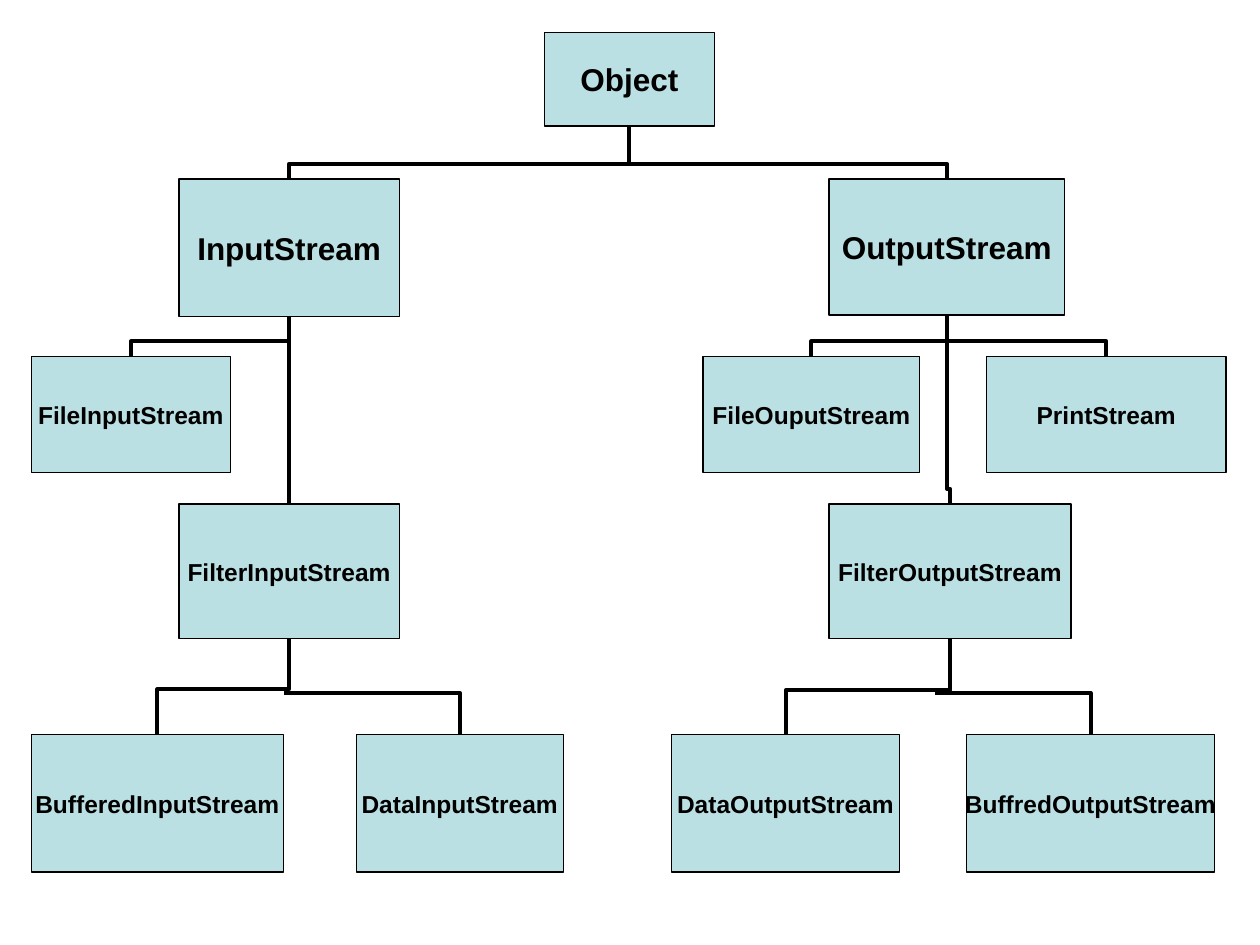
import pptx
import pptx.dml.color
import pptx.enum.shapes
import pptx.enum.text
import pptx.oxml
import pptx.oxml.ns
import pptx.util
from pptx.util import Inches

BLACK = pptx.dml.color.RGBColor(0x00, 0x00, 0x00)
PALE_TEAL = pptx.dml.color.RGBColor(0xBB, 0xE0, 0xE3)
CONNECTORS = pptx.enum.shapes.MSO_CONNECTOR

# Class name: left, top, width, height, text size
classes = {
    "Object": (4.32, 0.26, 1.35, 0.74, 18),
    "InputStream": (1.42, 1.42, 1.75, 1.09, 18),
    "OutputStream": (6.58, 1.42, 1.87, 1.08, 18),
    "FileInputStream": (0.25, 2.83, 1.58, 0.92, 14),
    "FilterInputStream": (1.42, 4, 1.75, 1.07, 14),
    "BufferedInputStream": (0.25, 5.83, 2, 1.09, 14),
    "DataInputStream": (2.83, 5.83, 1.64, 1.09, 14),
    "FileOuputStream": (5.58, 2.83, 1.72, 0.92, 14),
    "FilterOutputStream": (6.58, 4, 1.92, 1.07, 14),
    "PrintStream": (7.83, 2.83, 1.9, 0.92, 14),
    "BuffredOutputStream": (7.67, 5.83, 1.97, 1.09, 14),
    "DataOutputStream": (5.33, 5.83, 1.81, 1.09, 14),
}

# Subclass, superclass, rise from the subclass to the horizontal bar
links = [
    ("DataOutputStream", "FilterOutputStream", 0.35),
    ("PrintStream", "OutputStream", 0.12),
    ("FilterOutputStream", "OutputStream", 0.12),
    ("FileOuputStream", "OutputStream", 0.12),
    ("BufferedInputStream", "FilterInputStream", 0.36),
    ("FilterInputStream", "InputStream", 0.12),
    ("FileInputStream", "InputStream", 0.12),
    ("OutputStream", "Object", 0.12),
    ("InputStream", "Object", 0.12),
]

# Subclass joined to a bar by a single bend: x and y of the bar's end
single_bends = [
    ("BuffredOutputStream", 7.42, 5.5),
    ("DataInputStream", 2.25, 5.5),
]

deck = pptx.Presentation()
deck.slide_width, deck.slide_height = Inches(10), Inches(7.5)
page = deck.slides.add_slide(deck.slide_layouts[6])


def top_centre(name):
    left, top, width, height, size = classes[name]
    return left + width / 2, top


def add_link(x1, y1, x2, y2, rise=None):
    """Link a subclass to its superclass, leaving upwards; no rise means one bend."""
    if abs(x2 - x1) < 0.01:
        link = page.shapes.add_connector(
            CONNECTORS.STRAIGHT, Inches(x1), Inches(y1), Inches(x2), Inches(y2))
    else:
        # An elbow starts sideways, so lay it out turned by a quarter
        middle_x, middle_y = (x1 + x2) / 2, (y1 + y2) / 2
        side = 1 if x1 < x2 else -1
        half_width, half_height = side * (y1 - y2) / 2, abs(x2 - x1) / 2
        link = page.shapes.add_connector(
            CONNECTORS.ELBOW,
            Inches(middle_x + half_width), Inches(middle_y + half_height),
            Inches(middle_x - half_width), Inches(middle_y - half_height))
        properties = link.element.spPr
        properties.find(pptx.oxml.ns.qn("a:xfrm")).set(
            "rot", str((90 if side > 0 else 270) * 60000))
        geometry = properties.find(pptx.oxml.ns.qn("a:prstGeom"))
        if rise is None:
            geometry.set("prst", "bentConnector2")
        else:
            share = round(rise / (y1 - y2) * 100000)
            guides = geometry.find(pptx.oxml.ns.qn("a:avLst"))
            guides.append(pptx.oxml.parse_xml(
                f'<a:gd {pptx.oxml.ns.nsdecls("a")} name="adj1" fmla="val {share}"/>'))
    link.line.color.rgb = BLACK
    link.line.width = pptx.util.Pt(2.25)
    link.element.spPr.append(
        pptx.oxml.parse_xml(f'<a:effectLst {pptx.oxml.ns.nsdecls("a")}/>'))


# Inheritance lines, behind the boxes
for name, bar_x, bar_y in single_bends:
    add_link(*top_centre(name), bar_x, bar_y)
for child, parent, rise in links:
    parent_x, parent_top = top_centre(parent)
    add_link(*top_centre(child), parent_x, parent_top + classes[parent][3], rise)

# Class boxes
for name, (left, top, width, height, size) in classes.items():
    box = page.shapes.add_shape(
        pptx.enum.shapes.MSO_SHAPE.ROUNDED_RECTANGLE,
        Inches(left), Inches(top), Inches(width), Inches(height))
    box.adjustments[0] = 0
    box.shadow.inherit = False
    box.fill.solid()
    box.fill.fore_color.rgb = PALE_TEAL
    box.line.color.rgb = BLACK
    box.line.width = pptx.util.Pt(0.75)
    frame = box.text_frame
    frame.text = name
    frame.word_wrap = False
    frame.vertical_anchor = pptx.enum.text.MSO_ANCHOR.MIDDLE
    frame.margin_left = frame.margin_right = Inches(0.05)
    frame.margin_top = frame.margin_bottom = Inches(0.03)
    para = frame.paragraphs[0]
    para.alignment = pptx.enum.text.PP_ALIGN.CENTER
    font = para.runs[0].font
    font.name = "Arial"
    font.size = pptx.util.Pt(size)
    font.bold = True
    font.color.rgb = BLACK

deck.save("out.pptx")
